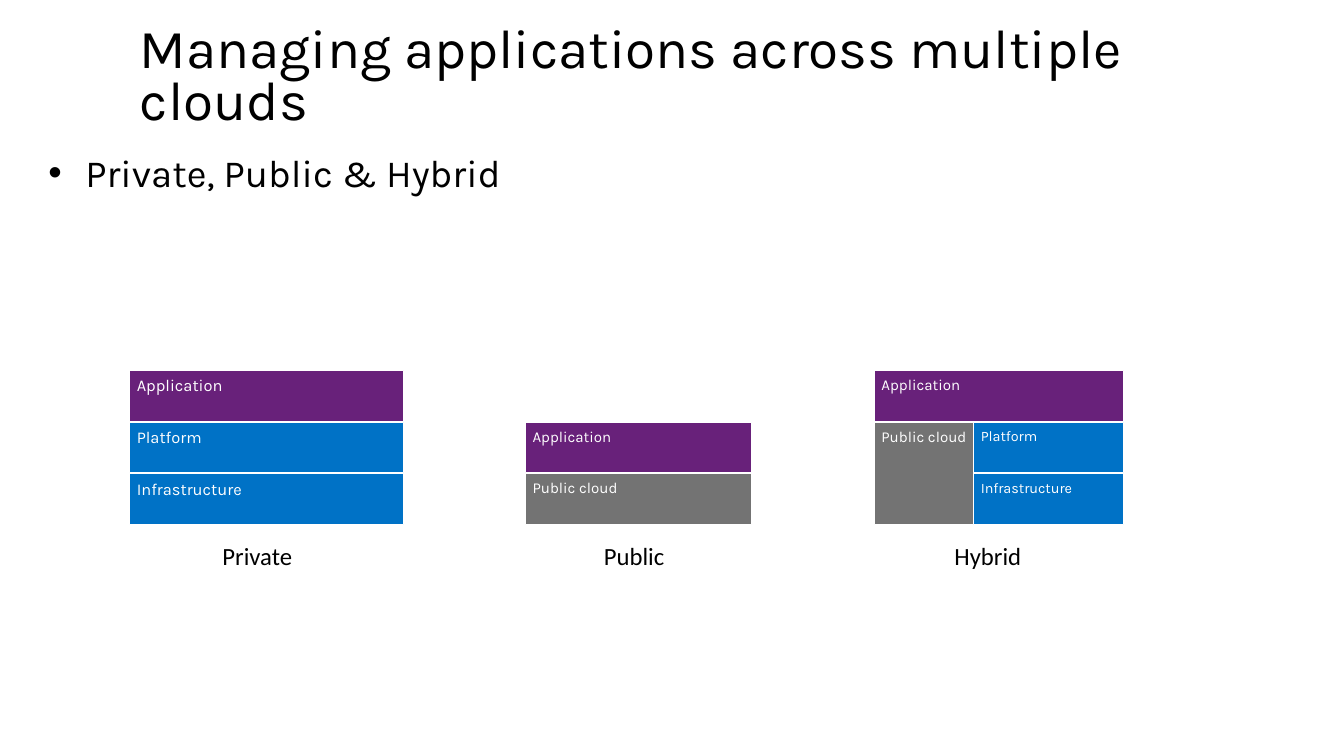
"""Build a slide comparing private, public and hybrid cloud stacks."""
from pptx import Presentation
from pptx.dml.color import RGBColor
from pptx.enum.shapes import MSO_SHAPE
from pptx.enum.text import MSO_ANCHOR, MSO_AUTO_SIZE, PP_ALIGN
from pptx.util import Pt

COLORS = {
    "text": "000000",
    "white": "FFFFFF",
    "application": "68217A",
    "own": "0072C6",
    "cloud": "737373",
}
ROW_TOP, ROW_PITCH, ROW_HEIGHT = 269.9, 37.7, 36.9
LABEL_TOP, LABEL_HEIGHT = 390.25, 28.8


def add_run(paragraph, text, size, font="Karla", color="text"):
    run = paragraph.add_run()
    run.text = text
    run.font.name = font
    run.font.size = Pt(size)
    run.font.color.rgb = RGBColor.from_string(COLORS[color])


def set_frame(frame, left, top, right, bottom, anchor=MSO_ANCHOR.TOP):
    frame.margin_left, frame.margin_top = Pt(left), Pt(top)
    frame.margin_right, frame.margin_bottom = Pt(right), Pt(bottom)
    frame.vertical_anchor = anchor
    frame.auto_size = MSO_AUTO_SIZE.NONE
    frame.word_wrap = True


presentation = Presentation()
presentation.slide_width = Pt(979.2)
presentation.slide_height = Pt(550.8)
slide = presentation.slides.add_slide(presentation.slide_layouts[1])

title = slide.shapes.title
title.left, title.top, title.width, title.height = Pt(94.7), Pt(14.4), Pt(820), Pt(85.7)
set_frame(title.text_frame, 7.2, 3.6, 7.2, 3.6, MSO_ANCHOR.MIDDLE)
paragraph = title.text_frame.paragraphs[0]
paragraph.alignment = PP_ALIGN.LEFT
paragraph.line_spacing = 0.8
add_run(paragraph, "Managing applications across multiple clouds", 40)

body = slide.placeholders[1]
body.left, body.top, body.width, body.height = Pt(28), Pt(105), Pt(926), Pt(57)
set_frame(body.text_frame, 7.2, 3.6, 7.2, 3.6)
paragraph = body.text_frame.paragraphs[0]
paragraph.space_before = Pt(0)
properties = paragraph._p.get_or_add_pPr()
properties.set("marL", str(Pt(27)))
properties.set("indent", str(Pt(-27)))
add_run(paragraph, "Private, Public & Hybrid", 28)

stacks = [
    ("Private", 155, 67.7, [
        ("Infrastructure", "own", 94.7, 199.5, 2, 1, 12),
        ("Platform", "own", 94.7, 199.5, 1, 1, 12),
        ("Application", "application", 94.7, 199.5, 0, 1, 12),
    ]),
    ("Public", 432.9, 67.7, [
        ("Public cloud", "cloud", 383, 164.2, 2, 1, 11),
        ("Application", "application", 383, 164.2, 1, 1, 11),
    ]),
    ("Hybrid", 688.3, 64, [
        ("Infrastructure", "own", 709.6, 109, 2, 1, 10.5),
        ("Platform", "own", 709.6, 109, 1, 1, 10.5),
        ("Application", "application", 637.2, 181.4, 0, 1, 11),
        ("Public cloud", "cloud", 637.2, 72, 1, 2, 11),
    ]),
]

for name, label_left, label_width, blocks in stacks:
    for text, color, left, width, row, rows, size in blocks:
        block = slide.shapes.add_shape(
            MSO_SHAPE.RECTANGLE,
            Pt(left),
            Pt(ROW_TOP + row * ROW_PITCH),
            Pt(width),
            Pt(ROW_HEIGHT + (rows - 1) * ROW_PITCH),
        )
        block.shadow.inherit = False
        block.fill.solid()
        block.fill.fore_color.rgb = RGBColor.from_string(COLORS[color])
        block.line.color.rgb = RGBColor.from_string(COLORS["white"])
        block.line.width = Pt(0.75)
        set_frame(block.text_frame, 5, 3.6, 0, 0)
        paragraph = block.text_frame.paragraphs[0]
        paragraph.alignment = PP_ALIGN.LEFT
        add_run(paragraph, text, size, color="white")

    label = slide.shapes.add_textbox(
        Pt(label_left), Pt(LABEL_TOP), Pt(label_width), Pt(LABEL_HEIGHT)
    )
    set_frame(label.text_frame, 7.2, 3.6, 7.2, 3.6)
    label.text_frame.word_wrap = name != "Hybrid"
    add_run(label.text_frame.paragraphs[0], name, 18, font="Calibri")

presentation.save("out.pptx")
